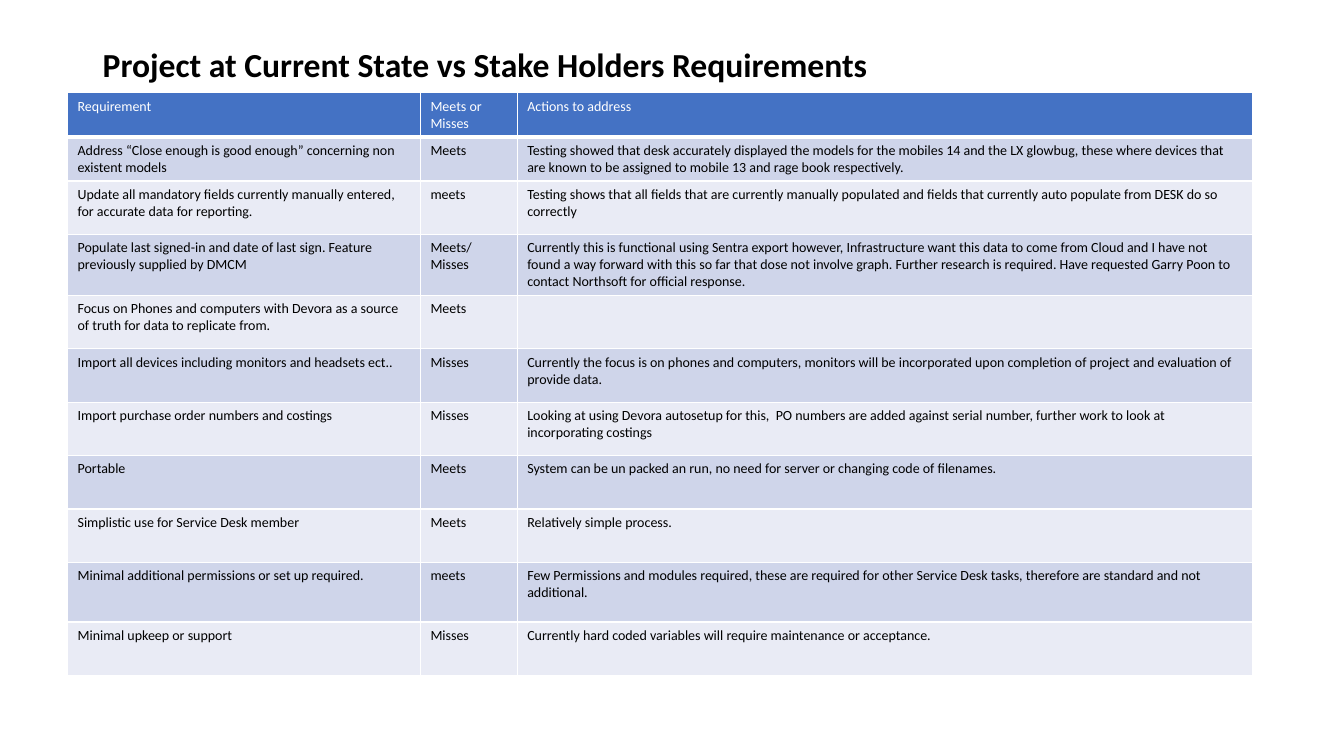
from lxml.etree import SubElement
from pptx import Presentation
from pptx.dml.color import RGBColor
from pptx.enum.text import MSO_ANCHOR as Anchor
from pptx.oxml.ns import qn
from pptx.util import Pt

EMU_PER_PX = 9144
FONT = "Calibri"
WHITE = RGBColor(0xFF, 0xFF, 0xFF)
BLACK = RGBColor(0x00, 0x00, 0x00)
HEADER_BLUE = RGBColor(0x44, 0x72, 0xC4)
BANDS = (RGBColor(0xE9, 0xEB, 0xF5), RGBColor(0xCF, 0xD5, 0xEA))

COLUMN_WIDTHS = (350, 96, 729)
ROWS = (
    (42, "Requirement", "Meets or Misses", "Actions to address"),
    (42, "Address “Close enough is good enough” concerning non existent models", "Meets",
     "Testing showed that desk accurately displayed the models for the mobiles 14 and the "
     "LX glowbug, these where devices that are known to be assigned to mobile 13 and "
     "rage book respectively."),
    (53, "Update all mandatory fields currently manually entered, for accurate data for reporting.",
     "meets",
     "Testing shows that all fields that are currently manually populated and fields that "
     "currently auto populate from DESK do so correctly"),
    (59, "Populate last signed-in and date of last sign. Feature previously supplied by DMCM",
     "Meets/Misses",
     "Currently this is functional using Sentra export however, Infrastructure want this data "
     "to come from Cloud and I have not found a way forward with this so far that dose not "
     "involve graph. Further research is required. Have requested Garry Poon to contact "
     "Northsoft for official response."),
    (53, "Focus on Phones and computers with Devora as a source of truth for data to replicate from.",
     "Meets", ""),
    (53, "Import all devices including monitors and headsets ect..", "Misses",
     "Currently the focus is on phones and computers, monitors will be incorporated upon "
     "completion of project and evaluation of provide data."),
    (53, "Import purchase order numbers and costings", "Misses",
     "Looking at using Devora autosetup for this,  PO numbers are added against serial number, "
     "further work to look at incorporating costings"),
    (53, "Portable", "Meets",
     "System can be un packed an run, no need for server or changing code of filenames."),
    (53, "Simplistic use for Service Desk member", "Meets", "Relatively simple process."),
    (59, "Minimal additional permissions or set up required.", "meets",
     "Few Permissions and modules required, these are required for other Service Desk tasks, "
     "therefore are standard and not additional."),
    (53, "Minimal upkeep or support", "Misses",
     "Currently hard coded variables will require maintenance or acceptance."),
)


def px(value):
    return value * EMU_PER_PX


def write_text(text_frame, text, size, color, bold=False):
    run = text_frame.paragraphs[0].add_run()
    run.text = text
    run.font.color.rgb = color
    for name, value in {"name": FONT, "size": Pt(size), "bold": bold}.items():
        setattr(run.font, name, value)


def add_title(slide, text, left, top, width, height):
    text_frame = slide.shapes.add_textbox(px(left), px(top), px(width), px(height)).text_frame
    for name, value in {"word_wrap": True, "vertical_anchor": Anchor.MIDDLE}.items():
        setattr(text_frame, name, value)
    text_frame.paragraphs[0].line_spacing = 0.9
    write_text(text_frame, text, 24, BLACK, bold=True)


def add_borders(cell, bottom_width):
    properties = cell._tc.get_or_add_tcPr()
    for side, width in {"L": 1, "R": 1, "T": 1, "B": bottom_width}.items():
        line = SubElement(properties, qn(f"a:ln{side}"), w=str(Pt(width)))
        fill = SubElement(line, qn("a:solidFill"))
        SubElement(fill, qn("a:srgbClr"), val=str(WHITE))


def format_cell(cell, text, is_header, band):
    add_borders(cell, 3 if is_header else 1)
    cell.fill.solid()
    cell.fill.fore_color.rgb = HEADER_BLUE if is_header else band
    write_text(cell.text_frame, text, 10, WHITE if is_header else BLACK)


def add_requirements_table(slide, left, top):
    width = sum(COLUMN_WIDTHS)
    height = sum(row[0] for row in ROWS)
    table = slide.shapes.add_table(
        len(ROWS), len(COLUMN_WIDTHS), px(left), px(top), px(width), px(height)).table
    for column, column_width in zip(table.columns, COLUMN_WIDTHS):
        column.width = px(column_width)
    for index, (row, (row_height, *texts)) in enumerate(zip(table.rows, ROWS)):
        row.height = px(row_height)
        for cell, text in zip(row.cells, texts):
            format_cell(cell, text, index == 0, BANDS[index % 2])


def main():
    presentation = Presentation()
    presentation.slide_width = px(1333)
    presentation.slide_height = px(750)
    slide = presentation.slides.add_slide(presentation.slide_layouts[6])
    add_requirements_table(slide, 67, 92)
    add_title(slide, "Project at Current State vs Stake Holders Requirements", 92, 40, 1150, 52)
    presentation.save("out.pptx")


if __name__ == "__main__":
    main()
